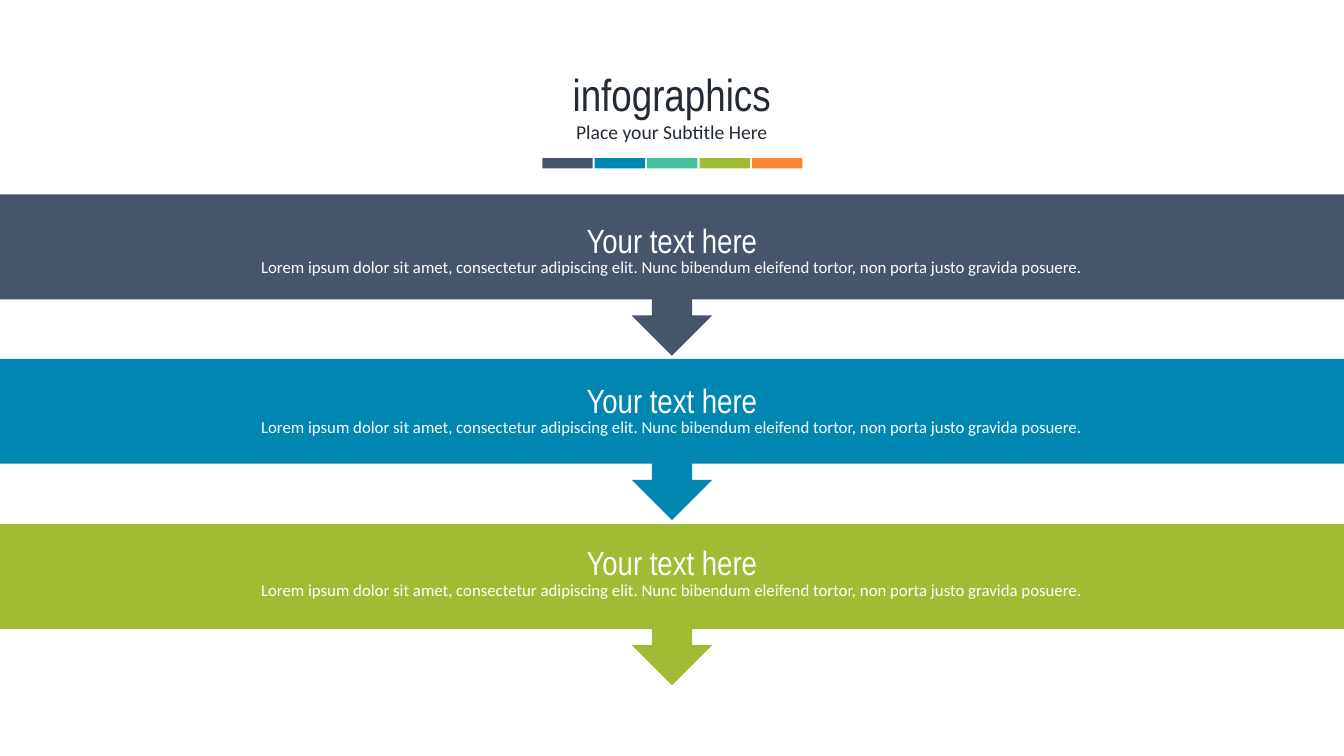
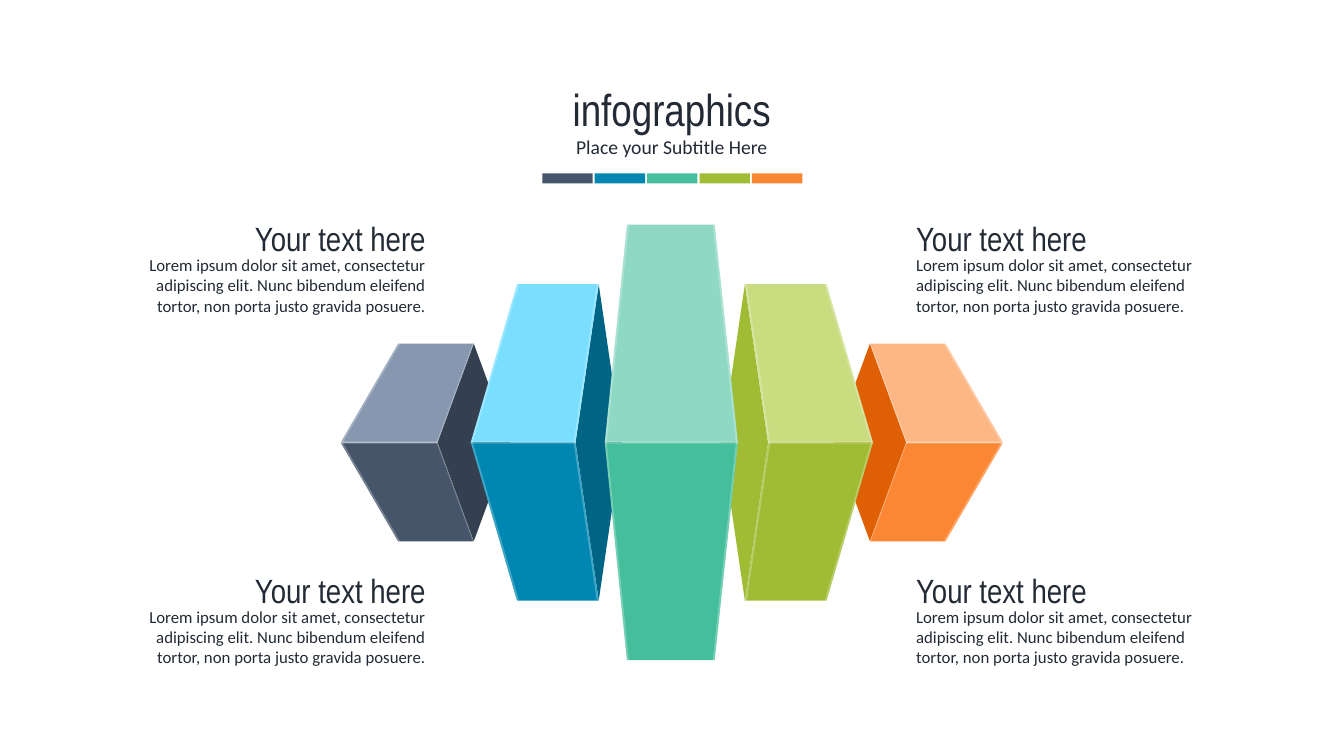
from pptx import Presentation
from pptx.dml.color import RGBColor
from pptx.enum.shapes import MSO_SHAPE
from pptx.enum.text import PP_ALIGN
from pptx.oxml import parse_xml
from pptx.oxml.ns import nsdecls, qn
from pptx.util import Inches, Pt

INK, WHITE = "222A35", "FFFFFF"
SLATE, BLUE, TEAL, GREEN, ORANGE = "46556A", "0087B1", "45BE9B", "A0BC34", "FB8734"
HEAD, BODY = "Arial Narrow", "Calibri"
WIDE = 13.33
LOREM = ("Lorem ipsum dolor sit amet, consectetur adipiscing elit. "
         "Nunc bibendum eleifend tortor, non porta justo gravida posuere.")


def paint(shape, color):
    """Fill a shape with one colour, without outline or shadow."""
    shape.fill.solid()
    shape.fill.fore_color.rgb = RGBColor.from_string(color)
    shape.line.fill.background()
    shape.shadow.inherit = False


def write(slide, place, lines, color, align):
    """Stack lines of (text, font, size, height, drop from the top)."""
    left, top, width = place
    for text, name, size, height, drop in lines:
        box = slide.shapes.add_textbox(Inches(left), Inches(top + drop),
                                       Inches(width), Inches(height))
        box.text_frame.word_wrap = True
        box.text_frame.text = text
        para = box.text_frame.paragraphs[0]
        para.alignment = align
        font = para.runs[0].font
        font.name, font.size = name, Pt(size)
        font.color.rgb = RGBColor.from_string(color)


deck = Presentation()
deck.slide_width, deck.slide_height = Inches(13.333), Inches(7.5)
bands, cubes = [deck.slides.add_slide(deck.slide_layouts[6]) for _ in range(2)]

# Shared header
title = [("infographics", HEAD, 32, 0.64, 0),
         ("Place your Subtitle Here", BODY, 14, 0.34, 0.53)]
for slide, top in ((bands, 0.61), (cubes, 0.76)):
    write(slide, (0, top, WIDE), title, INK, PP_ALIGN.CENTER)
    for i, color in enumerate((SLATE, BLUE, TEAL, GREEN, ORANGE)):
        bar = slide.shapes.add_shape(
            MSO_SHAPE.RECTANGLE, Inches(5.38 + 0.52 * i), Inches(top + 0.96),
            Inches(0.5), Inches(0.1))
        paint(bar, color)

# Slide 1: bands with arrows
item = [("Your text here", HEAD, 24, 0.5, 0), (LOREM, BODY, 12, 0.3, 0.37)]
for color, top, text_top in ((SLATE, 1.93, 2.13), (BLUE, 3.56, 3.72),
                             (GREEN, 5.2, 5.33)):
    band = bands.shapes.add_shape(MSO_SHAPE.DOWN_ARROW_CALLOUT, 0, Inches(top),
                                  deck.slide_width, Inches(1.6))
    paint(band, color)
    write(bands, (0, text_top, WIDE), item, WHITE, PP_ALIGN.CENTER)

# Slide 2: cubes, given by the left half and mirrored to the right
MID = 4.39
small = (3.38, 3.95, 4.7, 4.34, 0.98, 0.01)
large = (4.67, 5.13, 5.94, 5.71, 1.57, 0.02)
front = (6, 6.22, 7.09, 7.32, 2.16, -0.02)
blocks = [
    (small, False, "34404F", "8697AF", SLATE),
    (large, False, "006585", "7ADFFF", BLUE),
    (small, True, "DF6004", "FDB785", ORANGE),
    (large, True, GREEN, "C9DC80", GREEN),
    (front, False, None, "8FD8C3", TEAL),
]
faces, shines = [], []
for (outer, far, near, inner, half, edge), flip, side, lid, base in blocks:
    high, low = MID - half, MID + half
    parts = []
    if side:
        back = 2 * near - inner
        parts.append((side, [(inner, MID), (near, high), (back, MID), (near, low)]))
    for color, end in ((lid, high), (base, low)):
        parts.append((color, [(inner, MID), (near, end), (far, end), (outer, MID)]))
    glow = [[(outer, MID - 0.01), (inner, MID - 0.01),
             (inner, MID + 0.01), (outer, MID + 0.01)]]
    for waist, tip, thick in ((outer, far, 0.02), (inner, near, -abs(edge))):
        glow.append([(waist, MID), (tip, high), (tip + thick, high),
                     (waist + thick, MID), (tip + thick, low), (tip, low)])
    parts += [(None, points) for points in glow]
    for color, points in parts:
        if flip:
            points = [(WIDE - x, y) for x, y in points]
        (faces if color else shines).append((color, points))

for color, points in faces + shines:
    dots = [(Inches(x), Inches(y)) for x, y in points]
    pen = cubes.shapes.build_freeform(*dots[0])
    pen.add_line_segments(dots[1:], close=True)
    face = pen.convert_to_shape()
    paint(face, color or WHITE)
    if not color:
        tint = face._element.spPr.find(qn("a:solidFill")).find(qn("a:srgbClr"))
        tint.append(parse_xml(f'<a:alpha {nsdecls("a")} val="25000"/>'))

note = [item[0], (LOREM, BODY, 12, 0.71, 0.37)]
for left, align in ((1.15, PP_ALIGN.RIGHT), (8.99, PP_ALIGN.LEFT)):
    for top in (2.11, 5.6):
        write(cubes, (left, top, 3.17), note, INK, align)

deck.save("out.pptx")
